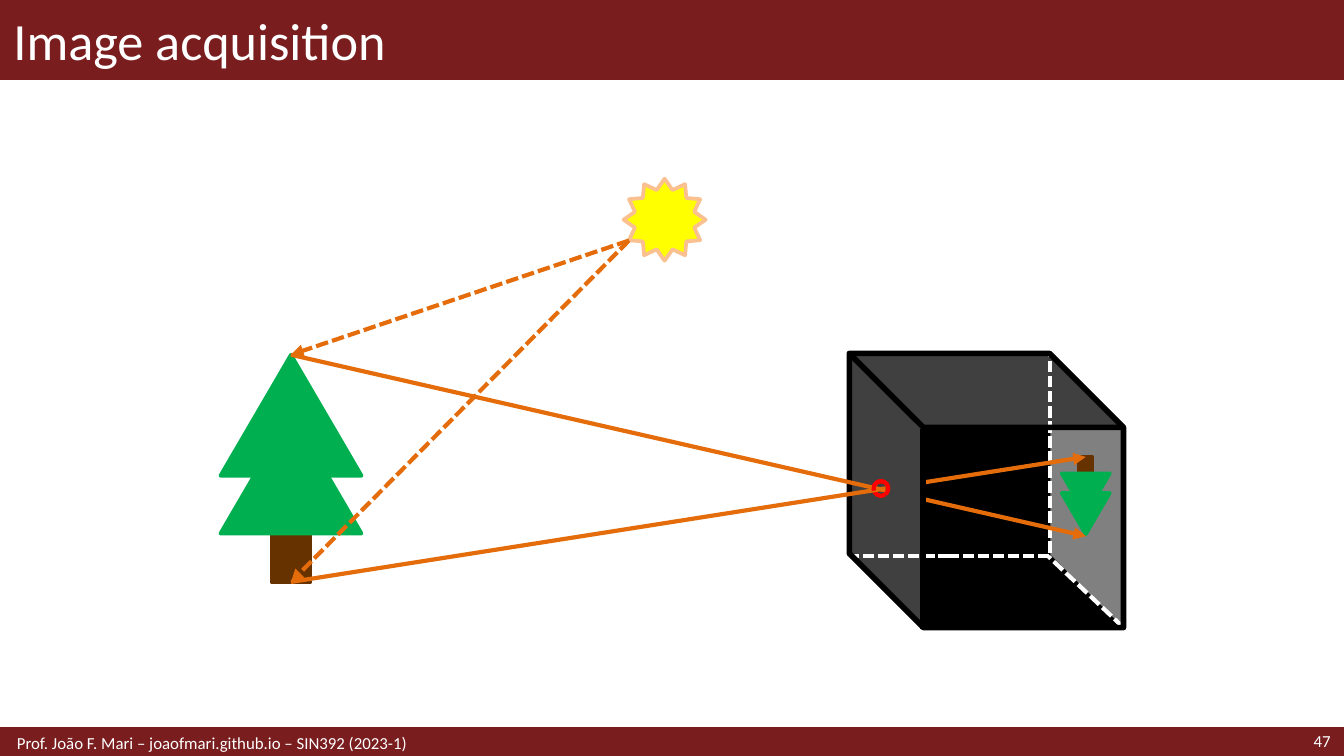
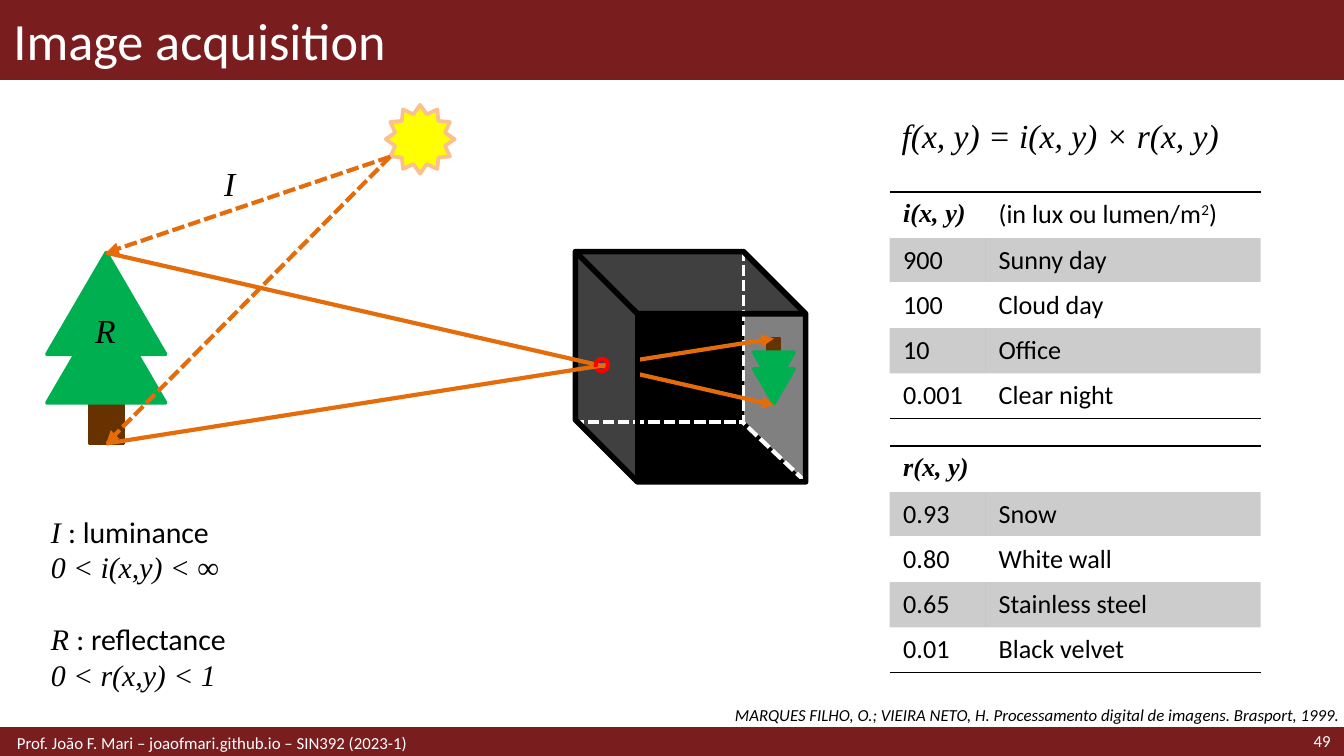
"""Build two slides on image acquisition with a pinhole camera scene."""
import pptx
import pptx.dml.color
import pptx.enum.dml
import pptx.enum.shapes
import pptx.enum.text
import pptx.oxml.ns
import pptx.util
from lxml import etree

SHAPE = pptx.enum.shapes.MSO_SHAPE
ALIGN = pptx.enum.text.PP_ALIGN
MIDDLE = pptx.enum.text.MSO_ANCHOR.MIDDLE
TOP = pptx.enum.text.MSO_ANCHOR.TOP
PT = pptx.util.Pt
qn = pptx.oxml.ns.qn

COLUMNS, ROWS = 100, 56.25
MAROON, WHITE, BLACK, RED = "791D1F", "FFFFFF", "000000", "FF0000"
LEAF, BARK, RAY, DARK, GREY = "00B050", "663300", "E46C0A", "404040", "808080"
NO_STYLE = "{2D5ABB26-0587-4C30-8999-92F81FD0307C}"

TITLE = {"size": PT(28), "name": "Calibri", "color": WHITE}
FOOTER = {**TITLE, "size": PT(9)}
CITATION = {**FOOTER, "color": BLACK, "italic": True}
CELL = {"size": PT(14), "name": "Calibri", "color": BLACK}
MATH = {"size": PT(18), "name": "Times New Roman", "color": BLACK, "italic": True}
HEADING = {**MATH, "size": PT(14), "bold": True}
NOTE_MATH = {**MATH, "size": PT(16)}
NOTE = {**CELL, "size": PT(16)}


def color(value):
    return pptx.dml.color.RGBColor.from_string(value)


def length(cells):
    return pptx.util.Inches(cells / 10)


class Board:
    """Hold the deck, its style, the current page and the drawing grid."""

    def __init__(self):
        self.deck = pptx.Presentation()
        self.deck.slide_width, self.deck.slide_height = length(COLUMNS), length(ROWS)
        self.layout = self.deck.slide_layouts[5]
        self.page = None
        self.zoom()

    def zoom(self, left=0, top=0, scale=1):
        self.left, self.top, self.scale = left, top, scale

    def point(self, x, y):
        return length(self.left + x * self.scale), length(self.top + y * self.scale)

    def frame(self, x, y, width, height):
        return *self.point(x, y), length(width * self.scale), length(height * self.scale)

    def start_page(self, title, number):
        self.page = self.deck.slides.add_slide(self.layout)
        self.zoom()
        if len(self.deck.slides) == 1:
            for top, height, weight in ((0, 5.9, 1), (54.2, 2.1, 2)):
                band = self.shape(SHAPE.RECTANGLE, (0, top, COLUMNS, height), MAROON, MAROON, weight)
                self.layout.shapes._spTree.insert(2, band._element)
        box = self.page.shapes.title
        box.left, box.top, box.width, box.height = self.frame(0, 0, COLUMNS, 5.9)
        self.fill_box(box, [[(title, TITLE)]], anchor=MIDDLE)
        self.text((88.6, 54.1, 11.4, 2.1), [[(number, FOOTER)]], ALIGN.RIGHT, MIDDLE)
        self.text((0, 54.2, 68.9, 2.1),
                  [[("Prof. João F. Mari – joaofmari.github.io – SIN392 (2023-1)", FOOTER)]],
                  anchor=MIDDLE, margin_left=length(1.25))

    def add_spans(self, para, spans, align=ALIGN.LEFT):
        para.alignment = align
        for words, style in spans:
            span = para.add_run()
            span.text = words
            for key, value in style.items():
                if key == "color":
                    span.font.color.rgb = color(value)
                elif key == "baseline":
                    span.font._element.set(key, value)
                else:
                    setattr(span.font, key, value)
        if not spans:
            etree.SubElement(para._p, qn("a:endParaRPr"), sz="1400")

    def fill_box(self, box, paras, align=ALIGN.LEFT, anchor=TOP, **margins):
        frame = box.text_frame
        settings = {"word_wrap": True, "vertical_anchor": anchor,
                    "auto_size": pptx.enum.text.MSO_AUTO_SIZE.NONE, **margins}
        for key, value in settings.items():
            setattr(frame, key, value)
        for index, spans in enumerate(paras):
            para = frame.add_paragraph() if index else frame.paragraphs[0]
            self.add_spans(para, spans, align)
        return frame

    def text(self, place, paras, align=ALIGN.LEFT, anchor=TOP, **margins):
        box = self.page.shapes.add_textbox(*self.frame(*place))
        return self.fill_box(box, paras, align, anchor, **margins)

    def stroke(self, line, paint, weight, dashed=False):
        line.color.rgb = color(paint)
        line.width = PT(weight)
        if dashed:
            line.dash_style = pptx.enum.dml.MSO_LINE.SQUARE_DOT

    def shape(self, kind, place, fill=None, line=None, weight=2, dashed=False,
              adjust=(), turn=0, mirror=False):
        shape = self.page.shapes.add_shape(kind, *self.frame(*place))
        shape.shadow.inherit = False
        shape.rotation = turn
        for index, value in enumerate(adjust):
            shape.adjustments[index] = value
        if mirror:
            shape._element.spPr.xfrm.set("flipH", "1")
        if fill:
            shape.fill.solid()
            shape.fill.fore_color.rgb = color(fill)
        else:
            shape.fill.background()
        if line:
            self.stroke(shape.line, line, weight, dashed)
        else:
            shape.line.fill.background()
        return shape

    def line(self, start, end, paint, weight=2.25, dashed=False, arrow=False,
             begin_at=None, end_at=None):
        line = self.page.shapes.add_connector(
            pptx.enum.shapes.MSO_CONNECTOR.STRAIGHT, *self.point(*start), *self.point(*end))
        if begin_at:
            line.begin_connect(*begin_at)
        if end_at:
            line.end_connect(*end_at)
        self.stroke(line.line, paint, weight, dashed)
        properties = line._element.spPr
        if arrow:
            etree.SubElement(properties.find(qn("a:ln")), qn("a:tailEnd"), type="triangle")
        etree.SubElement(properties, qn("a:effectLst"))

    def tree(self, x, y, size=1, inverted=False):
        def part(kind, left, top, width, height, paint):
            if inverted:
                top = 16.9 - top - height
            turn = 180 if inverted and kind == SHAPE.ISOSCELES_TRIANGLE else 0
            place = (x + left * size, y + top * size, width * size, height * size)
            return self.shape(kind, place, paint, paint, turn=turn)

        trunk = part(SHAPE.RECTANGLE, 3.8, 11.9, 2.9, 5, BARK)
        for top in (0, 4.3):
            part(SHAPE.ISOSCELES_TRIANGLE, 0, top, 10.5, 9, LEAF)
        return trunk

    def scene(self, left, top, scale=1):
        self.zoom(left, top, scale)
        self.shape(SHAPE.RECTANGLE, (52.4, 18.5, 14.9, 15), BLACK)
        for x, y, paint, turn in ((54.3, 20.5, GREY, 90), (39.3, 20.5, DARK, 90),
                                  (46.75, 13, DARK, 0)):
            self.shape(SHAPE.PARALLELOGRAM, (x, y, 20.4, 5.5), paint,
                       adjust=[1.0], turn=turn, mirror=not turn)
        image_trunk = self.tree(62.6, 20.7, 0.34, inverted=True)
        self.shape(SHAPE.RECTANGLE, (46.8, 13, 14.9, 15.1), None, WHITE, dashed=True)
        self.line((67.2, 33.4), (61.6, 28.1), WHITE, dashed=True)
        trunk = self.tree(0, 13.1)
        self.shape(SHAPE.CUBE, (46.8, 13, 20.4, 20.4), None, BLACK, 3,
                   adjust=[0.27], mirror=True)
        pinhole = (48.6, 22.5, 1.1, 1.1)
        self.shape(SHAPE.OVAL, pinhole, None, RED, 2.25)
        self.shape(SHAPE.STAR_12_POINT, (30, 0, 6.1, 6.1), "FFFF00", "FAC090")
        sun, crown, foot = (30.4, 4.6), (5.25, 13.1), (5.25, 30)
        self.line(sun, crown, RAY, dashed=True, arrow=True)
        self.line(sun, foot, RAY, dashed=True, arrow=True, end_at=(trunk, 2))
        self.line(crown, (64.4, 26.6), RAY, arrow=True)
        self.line(foot, (64.4, 20.7), RAY, arrow=True,
                  begin_at=(trunk, 2), end_at=(image_trunk, 0))
        self.shape(SHAPE.RECTANGLE, (49.5, 19.1, 2.7, 8.4), DARK)
        self.line((52.3, 18.6), (52.3, 33.5), BLACK, 3)
        self.shape(SHAPE.ARC, pinhole, None, RED, 2.25, adjust=[97.64, 31.72])
        self.zoom()

    def border(self, cell, side, paint, weight):
        edge = etree.Element(qn("a:ln" + side), w=str(PT(weight)))
        fill = etree.SubElement(edge, qn("a:solidFill"))
        etree.SubElement(fill, qn("a:srgbClr"), val=paint)
        properties = cell._tc.get_or_add_tcPr()
        properties.insert(len(properties.findall(qn("a:lnT"))), edge)

    def table(self, x, y, rows):
        widths, height = (7.1, 20.5), 3.34
        place = self.frame(x, y, sum(widths), height * len(rows))
        table = self.page.shapes.add_table(len(rows), len(widths), *place).table
        table.first_row = table.horz_banding = False
        table._tbl.tblPr[0].text = NO_STYLE
        for column, width in zip(table.columns, widths):
            column.width = length(width)
        for index, row in enumerate(rows):
            table.rows[index].height = length(height)
            for cell, spans in zip(table.rows[index].cells, row):
                self.add_spans(cell.text_frame.paragraphs[0], spans)
                if index % 2:
                    cell.fill.solid()
                    cell.fill.fore_color.rgb = color(BLACK)
                    paint = cell._tc.tcPr.find(".//" + qn("a:srgbClr"))
                    etree.SubElement(paint, qn("a:alpha"), val="20000")
                else:
                    cell.fill.background()
                if index == 0:
                    self.border(cell, "T", BLACK, 1)
                    self.border(cell, "B", WHITE, 0.5)
                elif index == 1:
                    self.border(cell, "T", WHITE, 0.5)
                elif index == len(rows) - 1:
                    self.border(cell, "B", BLACK, 1)


def plain_rows(pairs):
    return [[[(words, CELL)] for words in pair] for pair in pairs]


def main():
    board = Board()
    board.start_page("Image acquisition", "47")
    board.scene(16.4, 13.3)

    board.start_page("Image acquisition", "49")
    board.scene(3.5, 7.8, 0.84)
    board.text((66.1, 8.1, 27.6, 4), [[("f(x, y) = i(x, y) × r(x, y)", MATH)]])
    unit = [("(in lux ou lumen/m", CELL), ("2", {**CELL, "baseline": "30000"}), (")", CELL)]
    luminance = [("900", "Sunny day"), ("100", "Cloud day"), ("10", "Office"),
                 ("0.001", "Clear night")]
    reflectance = [("0.93", "Snow"), ("0.80", "White wall"), ("0.65", "Stainless steel"),
                   ("0.01", "Black velvet")]
    board.table(66.2, 14.3, [[[("i(x, y)", HEADING)], unit]] + plain_rows(luminance))
    board.table(66.2, 33.2, [[[("r(x, y)", HEADING)], []]] + plain_rows(reflectance))
    inset = length(0.4)
    board.text((52.2, 52, 47.8, 2.3),
               [[("MARQUES FILHO, O.; VIEIRA NETO, H. Processamento digital de imagens. "
                  "Brasport, 1999.", CITATION)]], ALIGN.RIGHT,
               margin_left=inset, margin_right=inset, margin_top=inset, margin_bottom=inset)
    notes = board.text((2.8, 37.7, 15.7, 14.5), [
        [("I ", NOTE_MATH), (": luminance", NOTE)],
        [("0 < i(x,y) < ∞", NOTE_MATH)],
        [("R ", NOTE_MATH), (": reflectance", NOTE)],
        [("0 < r(x,y) < 1", NOTE_MATH)]])
    notes.paragraphs[2].space_before = PT(19)
    board.text((15.7, 11.6, 2.8, 4), [[("I", MATH)]])
    board.text((6.1, 22.6, 3.6, 4), [[("R", MATH)]])
    board.deck.save("out.pptx")


if __name__ == "__main__":
    main()
